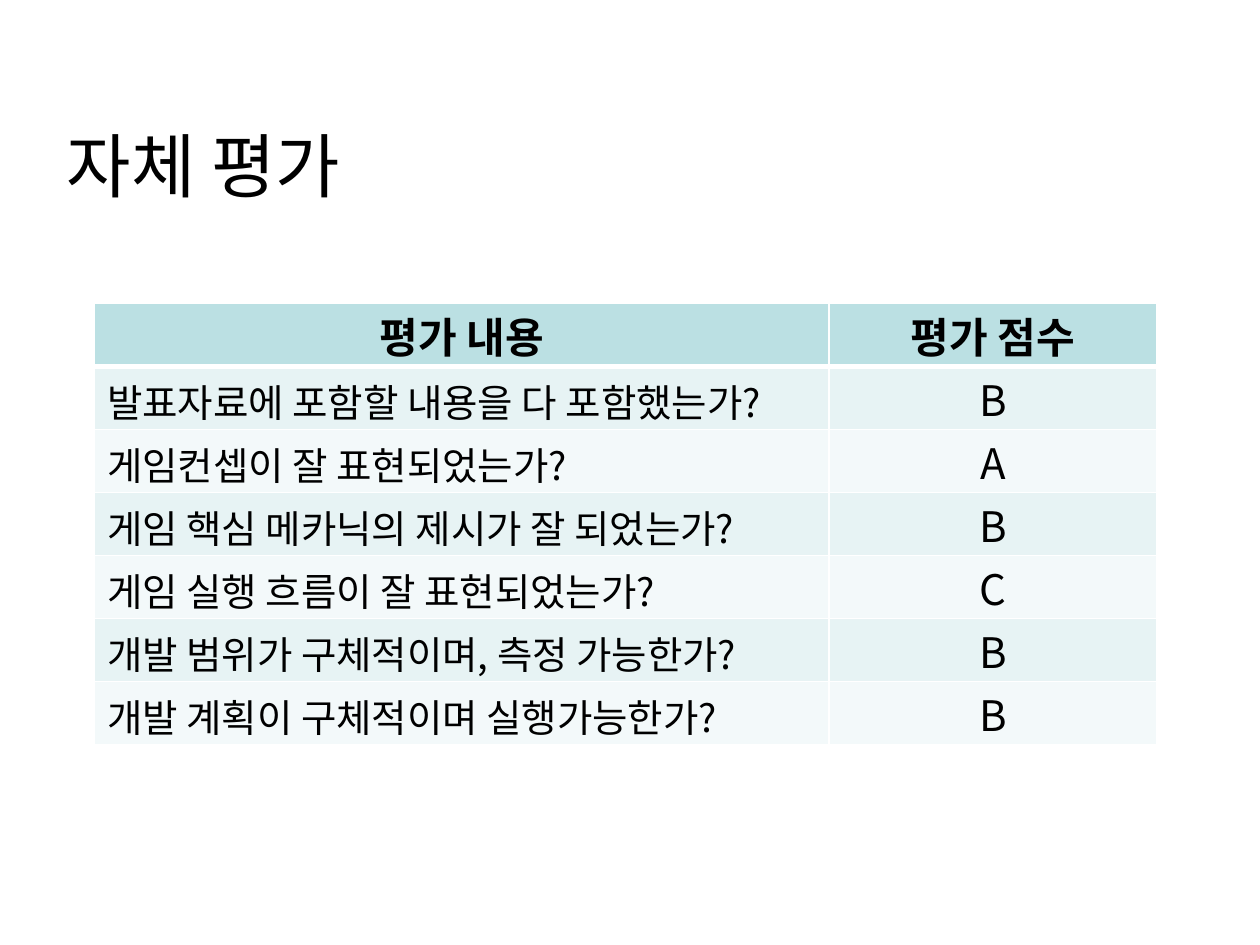
from lxml.etree import SubElement
from pptx import Presentation
from pptx.dml.color import RGBColor
from pptx.enum.text import MSO_ANCHOR as Anchor, PP_ALIGN as Align
from pptx.oxml.ns import qn
from pptx.util import Inches, Pt

FONT = "Noto Sans CJK KR"
BLACK = RGBColor(0, 0, 0)
WHITE = RGBColor(255, 255, 255)
HEADER = RGBColor(0xBB, 0xE0, 0xE3)
BANDS = (RGBColor(0xE7, 0xF3, 0xF4), RGBColor(0xF3, 0xF9, 0xFA))
ROW_HEIGHT = Inches(0.5)
COLUMN_WIDTHS = (Inches(5.83), Inches(2.6))
HEADINGS = ("평가 내용", "평가 점수")
SCORES = (
    ("발표자료에 포함할 내용을 다 포함했는가?", "B"),
    ("게임컨셉이 잘 표현되었는가?", "A"),
    ("게임 핵심 메카닉의 제시가 잘 되었는가?", "B"),
    ("게임 실행 흐름이 잘 표현되었는가?", "C"),
    ("개발 범위가 구체적이며, 측정 가능한가?", "B"),
    ("개발 계획이 구체적이며 실행가능한가?", "B"),
)


def write(frame, text, size, align, bold=False):
    frame.text = text
    para = frame.paragraphs[0]
    para.alignment = align
    font = para.font
    font.name, font.size, font.bold = FONT, Pt(size), bold
    font.color.rgb = BLACK
    defaults = para._p.pPr.find(qn("a:defRPr"))
    SubElement(defaults, qn("a:ea"), typeface=FONT)


def add_title(page, text):
    box = page.shapes.title
    box.left, box.top = Inches(0.43), Inches(0.92)
    box.width, box.height = Inches(8.58), Inches(0.77)
    box.text_frame.vertical_anchor = Anchor.MIDDLE
    write(box.text_frame, text, 40, Align.LEFT)


def set_borders(cell, bottom_width):
    properties = cell._tc.get_or_add_tcPr()
    widths = {"a:lnL": 1, "a:lnR": 1, "a:lnT": 1, "a:lnB": bottom_width}
    for position, (side, width) in enumerate(widths.items()):
        line = SubElement(properties, qn(side), w=str(Pt(width)))
        fill = SubElement(line, qn("a:solidFill"))
        SubElement(fill, qn("a:srgbClr"), val=str(WHITE))
        properties.insert(position, line)


def fill_cell(cell, text, size, align, color, top, bold=False):
    cell.margin_top, cell.margin_bottom = Inches(top), 0
    cell.fill.solid()
    cell.fill.fore_color.rgb = color
    write(cell.text_frame, text, size, align, bold)
    set_borders(cell, 3 if bold else 1)


def add_score_table(page):
    count = len(SCORES) + 1
    table = page.shapes.add_table(
        count, len(HEADINGS), Inches(0.75), Inches(2.41),
        sum(COLUMN_WIDTHS), ROW_HEIGHT * count,
    ).table
    for column, width in zip(table.columns, COLUMN_WIDTHS):
        column.width = width
    for row in table.rows:
        row.height = ROW_HEIGHT
    for column, heading in enumerate(HEADINGS):
        fill_cell(table.cell(0, column), heading, 24, Align.CENTER, HEADER, 0.01, True)
    for row, (question, score) in enumerate(SCORES, 1):
        color = BANDS[(row - 1) % 2]
        fill_cell(table.cell(row, 0), question, 22, Align.LEFT, color, 0.05)
        fill_cell(table.cell(row, 1), score, 24, Align.CENTER, color, 0.01)


def main():
    deck = Presentation()
    deck.slide_width, deck.slide_height = Inches(10), Inches(7.5)
    page = deck.slides.add_slide(deck.slide_layouts[5])
    add_title(page, "자체 평가")
    add_score_table(page)
    deck.save("out.pptx")


if __name__ == "__main__":
    main()
